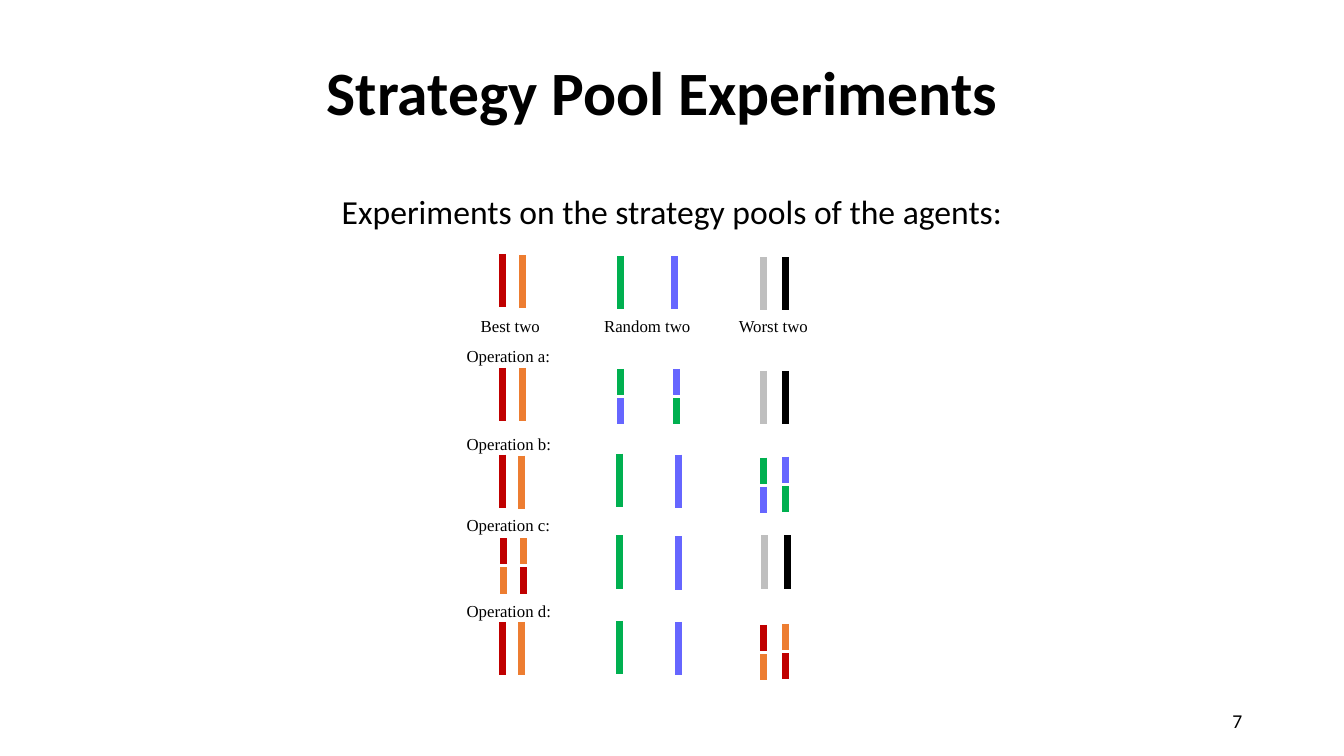
import pptx
import pptx.dml.color
import pptx.enum.shapes
import pptx.enum.text
import pptx.oxml.ns
import pptx.util
from lxml import etree

Inches = pptx.util.Inches
RGBColor = pptx.dml.color.RGBColor
Align = pptx.enum.text.PP_ALIGN
Anchor = pptx.enum.text.MSO_ANCHOR

RED = RGBColor(0xC0, 0x00, 0x00)
ORANGE = RGBColor(0xED, 0x7D, 0x31)
GREEN = RGBColor(0x00, 0xB0, 0x50)
BLUE = RGBColor(0x66, 0x66, 0xFF)
GRAY = RGBColor(0xBF, 0xBF, 0xBF)
BLACK = RGBColor(0x00, 0x00, 0x00)

BEST, RANDOM, WORST = (RED, ORANGE), (GREEN, BLUE), (GRAY, BLACK)
BAR_LENGTH, HALF_LENGTH, HALF_STEP = 0.53, 0.26, 0.29

# Captions below the first row: text, box in the figure, alignment
CAPTIONS = [
    ("Best two", (0.14, 0.55, 0.83, 0.29), Align.LEFT),
    ("Random two", (1.33, 0.55, 1.12, 0.29), Align.CENTER),
    ("Worst two", (2.68, 0.55, 0.92, 0.29), Align.CENTER),
]

# Rows: label, label top, row top, then for each pair its two strategies,
# the x of both bars, the drop of both below the row top, and whether they cross
ROWS = [
    (None, 0, 0, [
        (BEST, (0.45, 0.65), (0, 0.01), False),
        (RANDOM, (1.62, 2.16), (0.02, 0.02), False),
        (WORST, (3.04, 3.26), (0.03, 0.03), False)]),
    ("Operation a:", 0.85, 1.13, [
        (BEST, (0.45, 0.65), (0, 0), False),
        (RANDOM, (1.62, 2.18), (0.01, 0.01), True),
        (WORST, (3.04, 3.26), (0.03, 0.03), False)]),
    ("Operation b:", 1.72, 1.98, [
        (BEST, (0.45, 0.64), (0.01, 0.02), False),
        (RANDOM, (1.61, 2.2), (0, 0.01), False),
        (RANDOM, (3.04, 3.26), (0.04, 0.03), True)]),
    ("Operation c:", 2.53, 2.79, [
        (BEST, (0.46, 0.66), (0.03, 0.03), True),
        (RANDOM, (1.61, 2.2), (0, 0.01), False),
        (WORST, (3.05, 3.28), (0, 0), False)]),
    ("Operation d:", 3.38, 3.64, [
        (BEST, (0.45, 0.64), (0.01, 0.01), False),
        (RANDOM, (1.61, 2.2), (0, 0.01), False),
        (BEST, (3.04, 3.26), (0.04, 0.03), True)]),
]


def set_attributes(target, values):
    for name, value in values.items():
        setattr(target, name, value)


def add_text(shapes, text, box, font, paragraph_format, anchor=Anchor.TOP):
    text_box = shapes.add_textbox(*(Inches(length) for length in box))
    set_attributes(text_box.text_frame, {"word_wrap": True, "vertical_anchor": anchor})
    paragraph = text_box.text_frame.paragraphs[0]
    set_attributes(paragraph, paragraph_format)
    run = paragraph.add_run()
    run.text = text
    set_attributes(run.font, font)
    run.font.color.rgb = BLACK


def add_bar(shapes, x, top, length, color):
    bar = shapes.add_connector(
        pptx.enum.shapes.MSO_CONNECTOR.STRAIGHT,
        Inches(x), Inches(top), Inches(x), Inches(top + length))
    bar.line.color.rgb = color
    bar.line.width = pptx.util.Pt(5)
    etree.SubElement(bar._element.spPr, pptx.oxml.ns.qn("a:effectLst"))


def add_pair(shapes, left, top, pair):
    """Draw two strategies whole, or crossed with their lower halves swapped."""
    colors, offsets, drops, crossed = pair
    for color, other, offset, drop in zip(colors, colors[::-1], offsets, drops):
        x, y = left + offset, top + drop
        if crossed:
            add_bar(shapes, x, y, HALF_LENGTH, color)
            add_bar(shapes, x, y + HALF_STEP, HALF_LENGTH, other)
        else:
            add_bar(shapes, x, y, BAR_LENGTH, color)


def add_strategy_figure(slide, left, top):
    shapes = slide.shapes.add_group_shape().shapes
    font = {"size": pptx.util.Pt(12), "name": "Times New Roman"}
    spacing = {"line_spacing": 1.05, "space_after": pptx.util.Pt(8)}
    for text, (x, y, width, height), alignment in CAPTIONS:
        add_text(shapes, text, (left + x, top + y, width, height), font,
                 {**spacing, "alignment": alignment})
    for label, label_top, row_top, pairs in ROWS:
        if label:
            add_text(shapes, label, (left, top + label_top, 1.08, 0.34), font, spacing)
        for pair in pairs:
            add_pair(shapes, left, top + row_top, pair)


def add_headings(slide, title_box, subtitle_box):
    add_text(slide.shapes, "Strategy Pool Experiments", title_box,
             {"size": pptx.util.Pt(44), "name": "Calibri", "bold": True},
             {"alignment": Align.CENTER, "line_spacing": 0.9}, Anchor.BOTTOM)
    add_text(slide.shapes, "Experiments on the strategy pools of the agents:",
             subtitle_box, {"size": pptx.util.Pt(24), "name": "Calibri"},
             {"alignment": Align.CENTER, "line_spacing": 1.07})


def add_slide_number(slide, box):
    add_text(slide.shapes, "7", box, {"size": pptx.util.Pt(14), "name": "Calibri"},
             {"alignment": Align.RIGHT}, Anchor.MIDDLE)


def main():
    presentation = pptx.Presentation()
    set_attributes(presentation, {"slide_width": Inches(13.33),
                                  "slide_height": Inches(7.5)})
    slide = presentation.slides.add_slide(presentation.slide_layouts[6])
    add_headings(slide, (1.57, 0.55, 10, 0.78), (0.86, 1.82, 11.61, 0.51))
    add_strategy_figure(slide, 4.53, 2.52)
    add_slide_number(slide, (9.42, 6.95, 3, 0.4))
    presentation.save("out.pptx")


if __name__ == "__main__":
    main()
